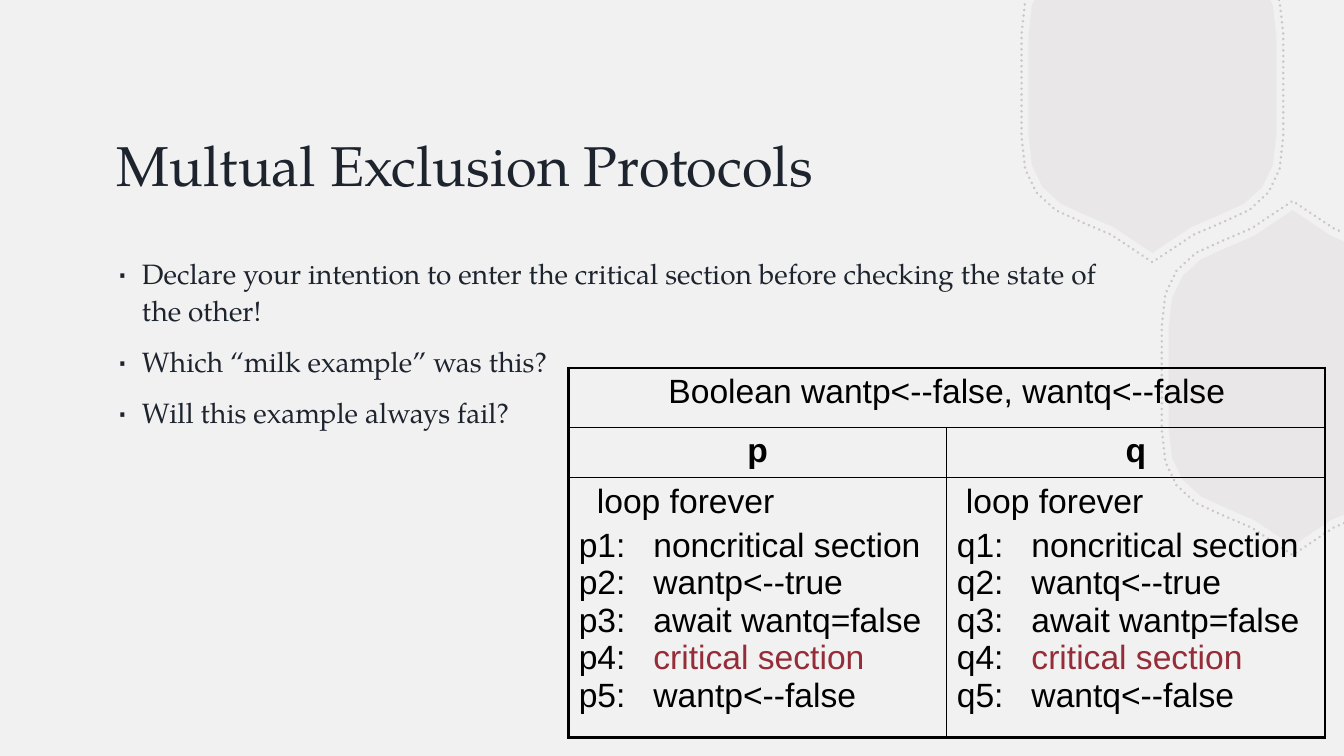
import pptx
import pptx.util
import pptx.dml.color
import pptx.enum.dml
import pptx.enum.text
import pptx.oxml.ns
from lxml import etree
from pptx.util import Inches

COLORS = {"paper": "F2F1F1", "tile": "B8B2B2", "ink": "1D242E",
          "black": "000000", "critical": "952D38"}
SERIF, SANS = "TeX Gyre Pagella", "Arial"
WIDTH, HEIGHT = 13.33, 7.5
qn = pptx.oxml.ns.qn


def rgb(name):
    return pptx.dml.color.RGBColor.from_string(COLORS[name])


def write(para, text, size=24, font=SANS, color="black", bold=False):
    span = para.add_run()
    span.text = text
    span.font.size = pptx.util.Pt(size)
    span.font.name = font
    span.font.bold = bold
    span.font.color.rgb = rgb(color)


deck = pptx.Presentation()
deck.slide_width, deck.slide_height = Inches(WIDTH), Inches(HEIGHT)
page = deck.slides.add_slide(deck.slide_layouts[5])
page.background.fill.solid()
page.background.fill.fore_color.rgb = rgb("paper")

# Outline of a rounded hexagon around its centre, clockwise from the top tip
CURVES = [((0.11, -1.575), (0.38, -1.365), (0.68, -1.305), (0.91, -1.175)),
          ((0.91, -1.175), (1.13, -1.025), (1.23, -0.845), (1.23, -0.485))]
STEPS = 3
corner = [(0, -1.665)]
for curve in CURVES:
    for step in range(1, STEPS + 1):
        t = step / STEPS
        weights = ((1 - t) ** 3, 3 * t * (1 - t) ** 2, 3 * t * t * (1 - t), t ** 3)
        corner.append(tuple(sum(w * point[axis] for w, point in zip(weights, curve))
                            for axis in (0, 1)))
right = corner + [(x, -y) for x, y in reversed(corner)]
hexagon = right + [(-x, y) for x, y in right[-2:0:-1]]

# Hexagon tiles, cut at the slide edge: filled ones, then dotted rings
TILES = [(11.43, 0.845, 0), (12.82, 3.75, len(corner))]
for scale, dotted in ((1, False), (1.055, True)):
    for center_x, center_y, start in TILES:
        outline = [(center_x + scale * x, center_y + scale * y)
                   for x, y in hexagon[start:] + hexagon[:start]]
        points = []
        for (x, y), (next_x, next_y) in zip(outline, outline[1:] + outline[:1]):
            room, next_room = min(WIDTH - x, y), min(WIDTH - next_x, next_y)
            if room >= 0:
                points.append((Inches(x), Inches(y)))
            if (room < 0) != (next_room < 0):
                share = room / (room - next_room)
                points.append((Inches(x + share * (next_x - x)),
                               Inches(y + share * (next_y - y))))
        builder = page.shapes.build_freeform(*points[0])
        builder.add_line_segments(points[1:], close=not dotted)
        tile = builder.convert_to_shape()
        tile.shadow.inherit = False
        if dotted:
            tile.fill.background()
            tile.line.color.rgb = rgb("tile")
            tile.line.width = pptx.util.Pt(2)
            tile.line.dash_style = pptx.enum.dml.MSO_LINE.ROUND_DOT
            tile.element.spPr.find(qn("a:ln")).set("cap", "rnd")
        else:
            tile.fill.solid()
            tile.fill.fore_color.rgb = rgb("tile")
            tile.line.fill.background()
        for color in tile.element.iter(qn("a:srgbClr")):
            etree.SubElement(color, qn("a:alpha"), val="65000" if dotted else "15000")

# Title
title = page.shapes.title
title.left, title.top, title.width, title.height = map(Inches, (1.06, 1.05, 9.93, 1.16))
title.text_frame.vertical_anchor = pptx.enum.text.MSO_ANCHOR.MIDDLE
para = title.text_frame.paragraphs[0]
para.alignment = pptx.enum.text.PP_ALIGN.LEFT
write(para, "Multual Exclusion Protocols", size=40, font=SERIF, color="ink")

# Bullets
BULLETS = [
    "Declare your intention to enter the critical section before checking the state of the other!",
    "Which “milk example” was this?",
    "Will this example always fail?",
]
box = page.shapes.add_textbox(Inches(1.06), Inches(2.46), Inches(9.93), Inches(4.61))
box.text_frame.word_wrap = True
for index, text in enumerate(BULLETS):
    para = box.text_frame.add_paragraph() if index else box.text_frame.paragraphs[0]
    para.line_spacing = 1.1
    para.space_before = pptx.util.Pt(10)
    write(para, text, size=20, font=SERIF, color="ink")
    settings = para._p.get_or_add_pPr()
    settings.set("marL", str(Inches(0.25)))
    settings.set("indent", str(Inches(-0.25)))
    etree.SubElement(settings, qn("a:buSzPct"), val="150000")
    etree.SubElement(settings, qn("a:buFont"), typeface=SANS)
    etree.SubElement(settings, qn("a:buChar"), char="∙")

# Protocol table
frame = page.shapes.add_table(3, 2, Inches(5.64), Inches(3.65), Inches(7.5), Inches(3.67))
table = frame.table
table.first_row = table.horz_banding = False
for row, height in zip(table.rows, (0.59, 0.5, 2.58)):
    row.height = Inches(height)
table.cell(0, 0).merge(table.cell(0, 1))

for row in range(3):
    for column in range(2):
        cell = table.cell(row, column)
        settings = cell._tc.get_or_add_tcPr()
        outer = {"lnL": row == 0 or column == 0, "lnR": row == 0 or column == 1,
                 "lnT": row == 0, "lnB": row == 2}
        for side, thick in outer.items():
            border = etree.SubElement(settings, qn("a:" + side),
                                      w=str(pptx.util.Pt(2.25 if thick else 1)))
            fill = etree.SubElement(border, qn("a:solidFill"))
            etree.SubElement(fill, qn("a:srgbClr"), val=COLORS["black"])
        cell.fill.background()

GAP = pptx.util.Pt(4.8)
headings = [(0, 0, "Boolean wantp<--false, wantq<--false", False),
            (1, 0, "p", True), (1, 1, "q", True)]
for row, column, text, bold in headings:
    para = table.cell(row, column).text_frame.paragraphs[0]
    para.alignment = pptx.enum.text.PP_ALIGN.CENTER
    para.space_before = GAP
    write(para, text, bold=bold)

for column, (own, other, indent) in enumerate((("p", "q", 0.18), ("q", "p", 0.09))):
    body = table.cell(2, column).text_frame
    loop = body.paragraphs[0]
    loop.space_before = GAP
    loop._p.get_or_add_pPr().set("marL", str(Inches(indent)))
    write(loop, "loop forever")

    code = body.add_paragraph()
    code.space_before = GAP
    tabs = etree.SubElement(code._p.get_or_add_pPr(), qn("a:tabLst"))
    etree.SubElement(tabs, qn("a:tab"), pos=str(Inches(0.74)), algn="l")
    steps = ["noncritical section", f"want{own}<--true", f"await want{other}=false",
             "critical section", f"want{own}<--false"]
    for number, step in enumerate(steps, 1):
        if number > 1:
            code.add_line_break()
        write(code, f"{own}{number}:\t")
        write(code, step, color="critical" if step == "critical section" else "black")

deck.save("out.pptx")
